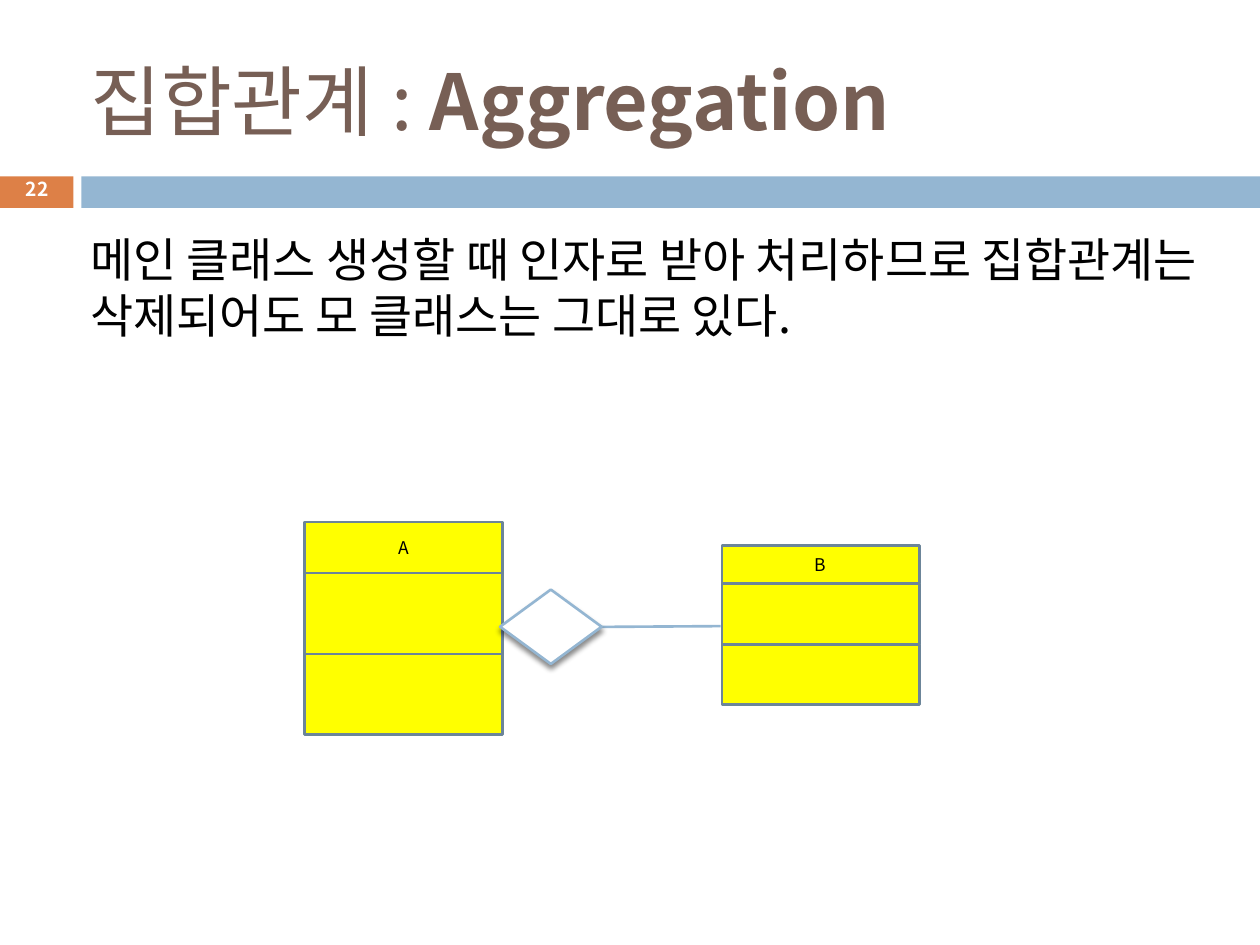
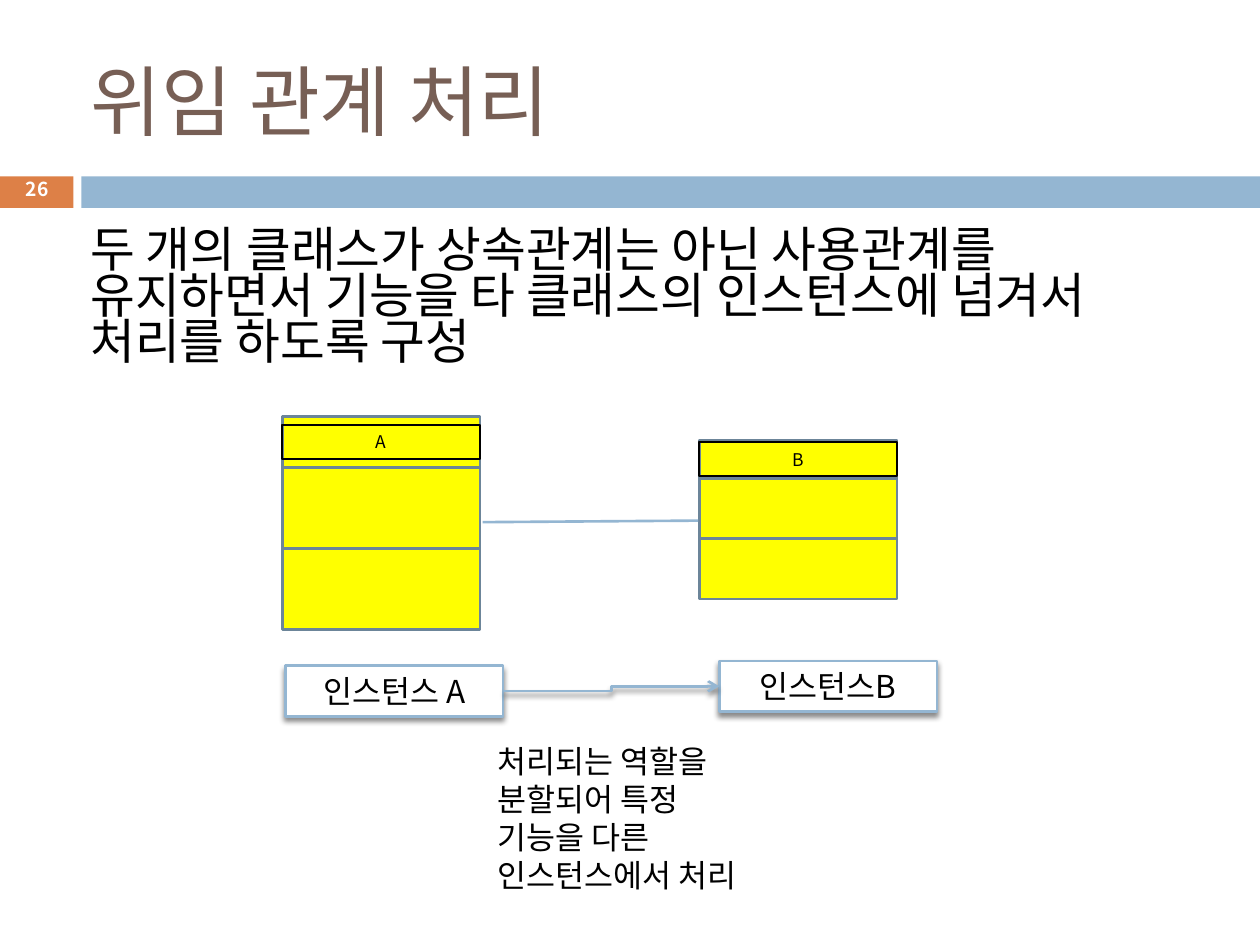
from lxml.etree import SubElement
from pptx import Presentation
from pptx.dml.color import RGBColor
from pptx.enum.shapes import MSO_CONNECTOR as Connector, MSO_SHAPE as Shape
from pptx.enum.text import MSO_ANCHOR as Anchor, PP_ALIGN as Align
from pptx.oxml.ns import qn
from pptx.util import Pt

FONT = "Noto Sans CJK KR"
BLACK, WHITE, YELLOW = "000000", "FFFFFF", "FFFF00"
BROWN, ORANGE, BLUE, SLATE = "775F55", "DD8047", "94B6D2", "6C8599"
INSET = 3.6
CLASS_WIDTH, LABEL_HEIGHT = 113, 19.5
INSTANCE_WIDTH, INSTANCE_HEIGHT = 124.5, 29


def color(hex_code):
    """Turn a hex string into a colour."""
    return RGBColor.from_string(hex_code)


def style_run(run, size, hex_code, bold=False):
    """Set the typeface of a run for Latin and Korean text."""
    run.font.size = Pt(size)
    run.font.bold = bold
    run.font.color.rgb = color(hex_code)
    run.font.name = FONT
    SubElement(run.font._element, qn("a:ea"), typeface=FONT)


def write(shape, text, size, hex_code=BLACK, bold=False, align=Align.LEFT,
          anchor=Anchor.MIDDLE, spacing=None, wrap=True, top_inset=INSET):
    """Fill a shape with one formatted paragraph."""
    frame = shape.text_frame
    frame.text = text
    frame.word_wrap = wrap
    frame.vertical_anchor = anchor
    frame.margin_left = frame.margin_right = frame.margin_bottom = Pt(INSET)
    frame.margin_top = Pt(top_inset)
    paragraph = frame.paragraphs[0]
    paragraph.alignment = align
    if spacing:
        paragraph.line_spacing = spacing
    style_run(paragraph.runs[0], size, hex_code, bold)
    return paragraph


def add_text(shapes, left, top, width, height, text, size, **options):
    """Add a text box with one paragraph."""
    box = shapes.add_textbox(Pt(left), Pt(top), Pt(width), Pt(height))
    return write(box, text, size, **options)


def add_body(slide, left, top, width, height, text, size, pitch):
    """Add wrapped running text with a fixed line pitch."""
    add_text(slide.shapes, left, top, width, height, text, size,
             anchor=Anchor.TOP, spacing=Pt(pitch), top_inset=6)


def add_block(shapes, left, top, width, height, fill=None, line=None,
              line_width=1.5, kind=Shape.RECTANGLE):
    """Add a preset shape with an optional fill and outline."""
    block = shapes.add_shape(kind, Pt(left), Pt(top), Pt(width), Pt(height))
    block.shadow.inherit = False
    if fill:
        block.fill.solid()
        block.fill.fore_color.rgb = color(fill)
    else:
        block.fill.background()
    if line:
        block.line.color.rgb = color(line)
        block.line.width = Pt(line_width)
    else:
        block.line.fill.background()
    return block


def add_shadow(effects):
    """Put a soft downward shadow into an effect list."""
    shadow = SubElement(effects, qn("a:outerShdw"), blurRad=str(Pt(3)),
                        dist=str(Pt(2.4)), dir="5400000", rotWithShape="0")
    shade = SubElement(shadow, qn("a:srgbClr"), val=BLACK)
    SubElement(shade, qn("a:alpha"), val="45000")


def add_raised(slide, left, top, width, height, kind=Shape.RECTANGLE):
    """Add a white shape with a blue outline and a shadow."""
    block = add_block(slide.shapes, left, top, width, height, WHITE, BLUE, kind=kind)
    add_shadow(block._element.spPr.find(qn("a:effectLst")))
    return block


def add_link(slide, start, end, kind=Connector.STRAIGHT, arrow=False):
    """Connect two points; an arrow link also gets a shadow."""
    link = slide.shapes.add_connector(kind, *(Pt(value) for value in start + end))
    link.line.color.rgb = color(BLUE)
    link.line.width = Pt(1.5)
    properties = link._element.spPr
    effects = SubElement(properties, qn("a:effectLst"))
    if arrow:
        SubElement(properties.find(qn("a:ln")), qn("a:tailEnd"), type="arrow")
        add_shadow(effects)


def add_class(slide, name, left, top, head, compartment, framed=False):
    """Add a class box: a named head over two equal compartments."""
    shapes = slide.shapes.add_group_shape().shapes
    add_block(shapes, left, top, CLASS_WIDTH, head, YELLOW, SLATE)
    for index in range(2):
        add_block(shapes, left, top + head + index * compartment,
                  CLASS_WIDTH, compartment, YELLOW, SLATE)
    place = (left, top + (head - LABEL_HEIGHT) / 2, CLASS_WIDTH, LABEL_HEIGHT)
    if framed:
        label = add_block(shapes, *place, line=BLACK, line_width=1)
        write(label, name, 10, align=Align.CENTER)
    else:
        add_text(shapes, *place, name, 10, align=Align.CENTER)


def add_class_pair(slide, left, top, framed=False):
    """Add classes A and B side by side."""
    add_class(slide, "A", left, top, 29.2, 46.2, framed)
    add_class(slide, "B", left + 238.3, top + 13.5, 21.8, 34.5, framed)


def add_instance(slide, left, top, name):
    """Add a raised box that names an instance."""
    box = add_raised(slide, left, top, INSTANCE_WIDTH, INSTANCE_HEIGHT)
    write(box, name, 18, align=Align.CENTER)


def start_slide(presentation, title, number):
    """Add a slide with the shared bands, title and page number."""
    slide = presentation.slides.add_slide(presentation.slide_layouts[6])
    add_block(slide.shapes, 0, 100.8, 42, 18, ORANGE)
    add_block(slide.shapes, 46.5, 100.8, 673.5, 18, BLUE)
    heading = add_text(slide.shapes, 48, 18, 642, 78, title, 44, hex_code=BROWN)
    add_text(slide.shapes, 10, 98.6, 22.3, 21.6, number, 11, hex_code=WHITE,
             bold=True, align=Align.CENTER, spacing=0.8, wrap=False)
    return slide, heading


def build_aggregation(presentation):
    """Build the aggregation slide."""
    slide, heading = start_slide(presentation, "집합관계 : ", "22")
    emphasis = heading.add_run()
    emphasis.text = "Aggregation"
    style_run(emphasis, 44, BROWN, bold=True)
    add_body(slide, 48, 126, 642, 87,
             "메인 클래스 생성할 때 인자로 받아 처리하므로 집합관계는 "
             "삭제되어도 모 클래스는 그대로 있다.", 26.8, 32)
    add_class_pair(slide, 174.2, 298.3)
    add_link(slide, (288.7, 358.6), (411.8, 357.8))
    add_raised(slide, 285.8, 336.9, 58, 42.5, Shape.DIAMOND)


def build_delegation(presentation):
    """Build the delegation slide."""
    slide, _ = start_slide(presentation, "위임 관계 처리", "26")
    add_body(slide, 48, 126, 642, 93,
             "두 개의 클래스가 상속관계는 아닌 사용관계를 유지하면서 기능을 "
             "타 클래스의 인스턴스에 넘겨서 처리를 하도록 구성", 27.8, 26.4)
    add_class_pair(slide, 161.3, 238, framed=True)
    add_link(slide, (275.8, 298.4), (398.9, 297.5))
    add_instance(slide, 163, 380.3, "인스턴스 A")
    add_instance(slide, 411, 377.7, "인스턴스B")
    add_body(slide, 280.8, 417.6, 147.6, 116.6,
             "처리되는 역할을 분할되어 특정 기능을 다른 인스턴스에서 처리", 18, 21.7)
    add_link(slide, (288, 394.8), (411, 392.2), Connector.ELBOW, arrow=True)


def main():
    """Build both slides and save them."""
    presentation = Presentation()
    presentation.slide_width, presentation.slide_height = Pt(720), Pt(540)
    build_aggregation(presentation)
    build_delegation(presentation)
    presentation.save("out.pptx")


if __name__ == "__main__":
    main()
